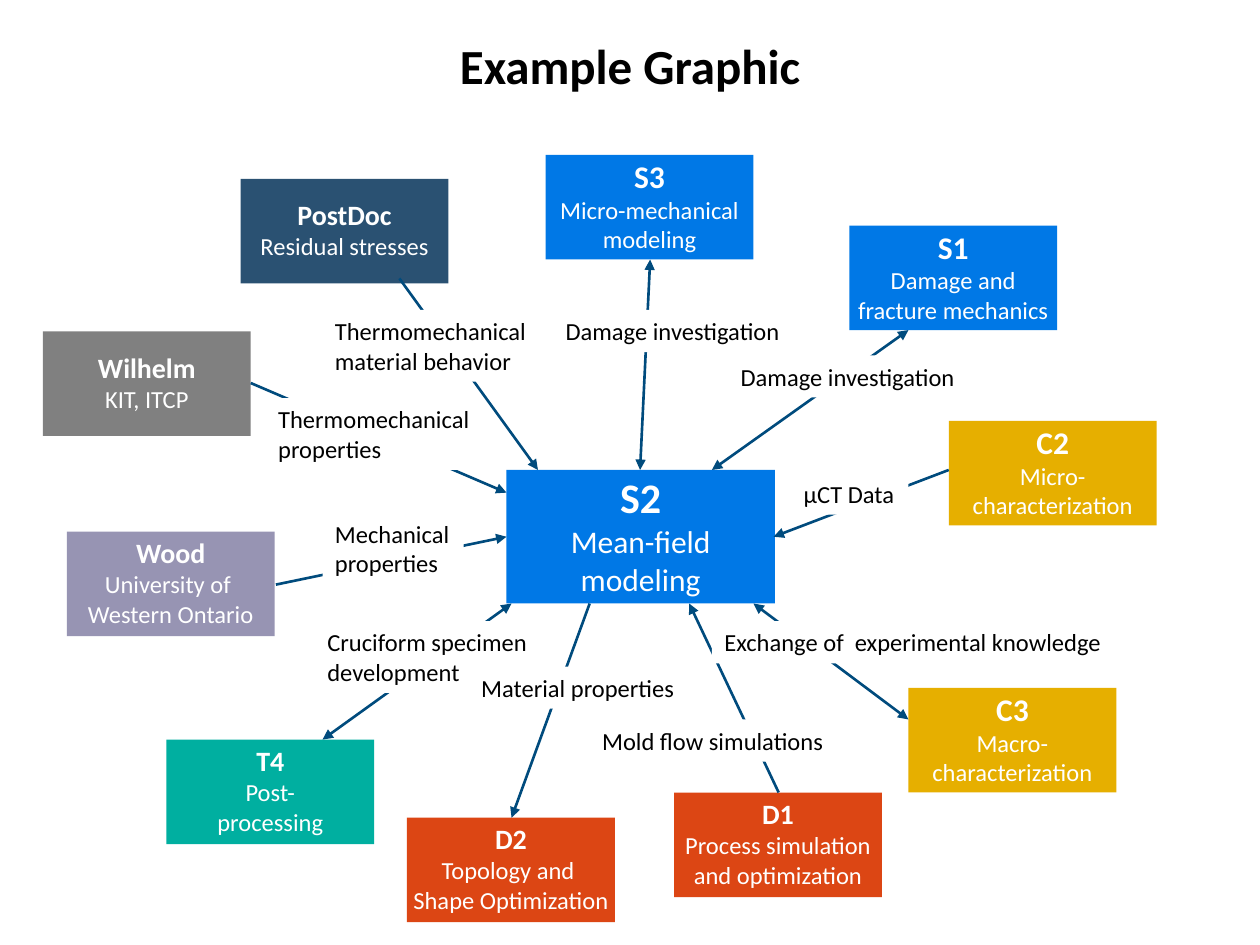
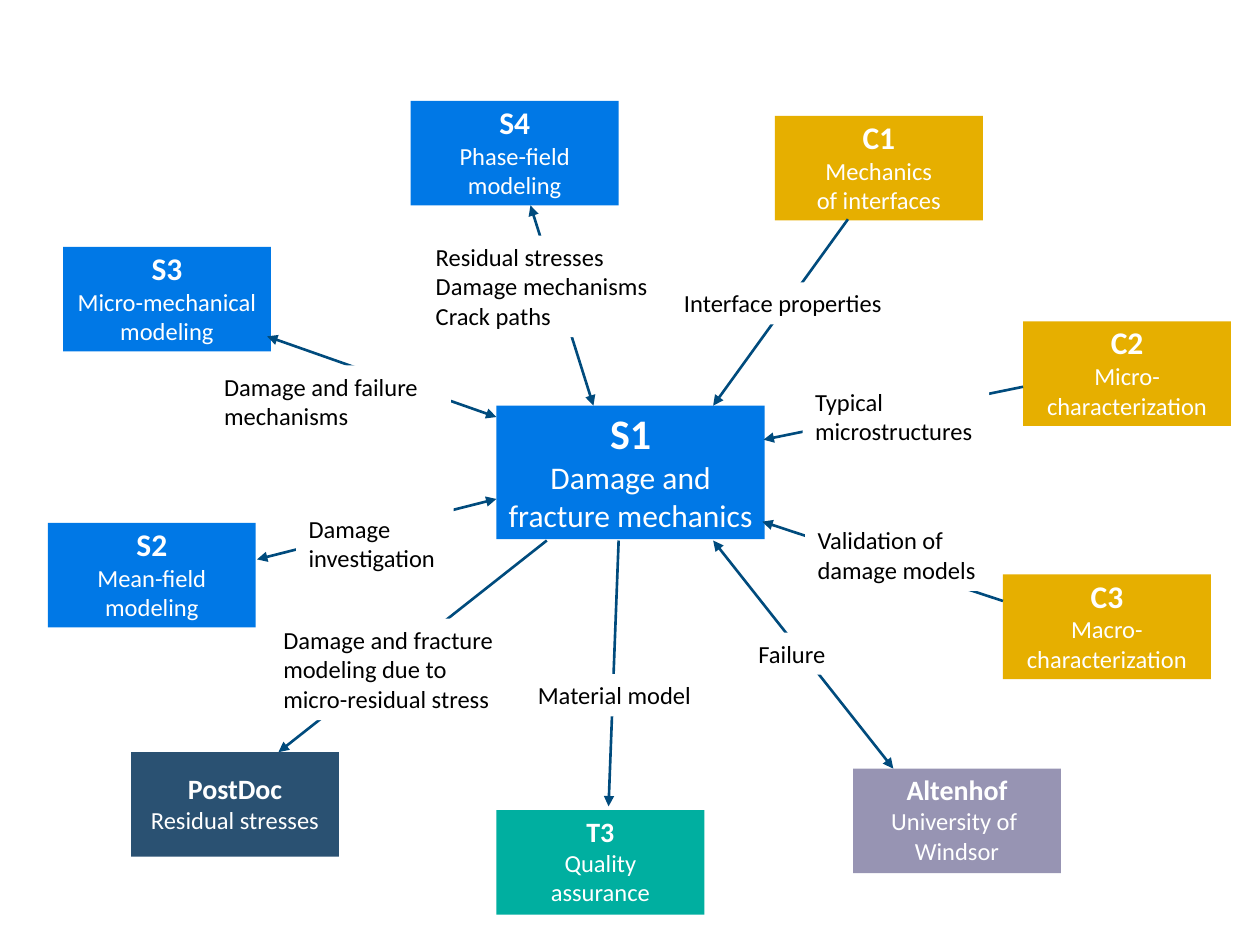
import dataclasses

import lxml.etree
import pptx
import pptx.dml.color
import pptx.enum.shapes
import pptx.enum.text
import pptx.oxml.ns
import pptx.util

Inches = pptx.util.Inches
Pt = pptx.util.Pt
RGBColor = pptx.dml.color.RGBColor
Anchor = pptx.enum.text.MSO_ANCHOR
Align = pptx.enum.text.PP_ALIGN

FONT = "Calibri"
WHITE = RGBColor(0xFF, 0xFF, 0xFF)
BLACK = RGBColor(0x00, 0x00, 0x00)
ARROW = RGBColor(0x00, 0x4B, 0x7D)
BLUE = RGBColor(0x00, 0x78, 0xE6)
YELLOW = RGBColor(0xE6, 0xAF, 0x00)
RED = RGBColor(0xDC, 0x46, 0x14)
TEAL = RGBColor(0x00, 0xAF, 0xA0)
NAVY = RGBColor(0x2A, 0x51, 0x72)
LILAC = RGBColor(0x97, 0x94, 0xB3)
GREY = RGBColor(0x80, 0x80, 0x80)

HUB_SIZE = (2.13, 1.06)
NODE_SIZE = (1.65, 0.83)
LINE_HEIGHT = 0.235
NAME_SIZES = {BLUE: 18, YELLOW: 18}
HEADS = {"in": ["headEnd"], "out": ["tailEnd"], "both": ["headEnd", "tailEnd"]}


@dataclasses.dataclass
class Spoke:
    """A neighbour of the hub with its arrow and the label on the arrow."""

    name: str
    detail: str
    color: RGBColor
    at: tuple
    hub_end: tuple
    node_end: tuple
    direction: str
    label: str
    label_at: tuple
    label_width: float
    label_lines: int = 1


def style(p, size, color, bold=False):
    """Format every run of a paragraph."""
    for r in p.runs:
        r.font.name = FONT
        r.font.size = Pt(size)
        r.font.bold = bold
        r.font.color.rgb = color


def add_box(shapes, left, top, width, height, color):
    """Add a plain filled rectangle."""
    sp = shapes.add_shape(pptx.enum.shapes.MSO_SHAPE.RECTANGLE,
                          Inches(left), Inches(top), Inches(width), Inches(height))
    sp.shadow.inherit = False
    sp.fill.solid()
    sp.fill.fore_color.rgb = color
    sp.line.fill.background()
    return sp


def add_node(shapes, left, top, size, color, name, detail, name_size, detail_size):
    """Add a topic box with a bold name above its description."""
    tf = add_box(shapes, left, top, *size, color).text_frame
    tf.word_wrap = False
    tf.vertical_anchor = Anchor.MIDDLE
    tf.margin_bottom = Inches(0.08)
    tf.text = name
    tf.add_paragraph().text = detail
    for p, points in zip(tf.paragraphs, (name_size, detail_size)):
        p.alignment = Align.CENTER
        style(p, points, WHITE, bold=p.text == name)


def add_arrow(shapes, left, top, spoke):
    """Add the arrow between the hub and a neighbour."""
    (x1, y1), (x2, y2) = spoke.hub_end, spoke.node_end
    cx = shapes.add_connector(pptx.enum.shapes.MSO_CONNECTOR.STRAIGHT,
                              Inches(left + x1), Inches(top + y1),
                              Inches(left + x2), Inches(top + y2))
    cx.line.color.rgb = ARROW
    cx.line.width = Pt(1.5)
    ln = cx.line._get_or_add_ln()
    for tag in HEADS[spoke.direction]:
        lxml.etree.SubElement(ln, pptx.oxml.ns.qn("a:" + tag), type="triangle")
    lxml.etree.SubElement(cx._element.spPr, pptx.oxml.ns.qn("a:effectLst"))


def add_label(shapes, left, top, spoke, wrap):
    """Add the white label that interrupts an arrow."""
    x, y = spoke.label_at
    height = 0.1 + LINE_HEIGHT * spoke.label_lines
    tf = add_box(shapes, left + x, top + y, spoke.label_width, height, WHITE).text_frame
    tf.word_wrap = wrap
    tf.auto_size = pptx.enum.text.MSO_AUTO_SIZE.SHAPE_TO_FIT_TEXT
    tf.vertical_anchor = Anchor.TOP
    tf.text = spoke.label
    for p in tf.paragraphs:
        p.alignment = Align.LEFT
        style(p, 14, BLACK)


def add_diagram(shapes, box, hub, spokes, wrap):
    """Draw a hub and its spokes from the top left corner of the box."""
    left, top = box
    name, detail, (x, y) = hub
    add_node(shapes, left + x, top + y, HUB_SIZE, BLUE, name, detail, 24, 18)
    for spoke in spokes:
        x, y = spoke.at
        add_node(shapes, left + x, top + y, NODE_SIZE, spoke.color, spoke.name,
                 spoke.detail, NAME_SIZES.get(spoke.color, 16), 14)
    for spoke in spokes:
        add_arrow(shapes, left, top, spoke)
    for spoke in spokes:
        add_label(shapes, left, top, spoke, wrap)


def add_title(s, text, left, top, width, height):
    """Fill and place the title placeholder."""
    sp = s.shapes.title
    sp.left, sp.top, sp.width, sp.height = map(Inches, (left, top, width, height))
    tf = sp.text_frame
    tf.text = text
    tf.vertical_anchor = Anchor.MIDDLE
    tf.paragraphs[0].alignment = Align.CENTER
    style(tf.paragraphs[0], 28, BLACK, bold=True)


MICRO = "Micro-\vcharacterization"
MACRO = "Macro-\vcharacterization"
MICRO_MODEL = "Micro-mechanical\vmodeling"
MEAN_FIELD = "Mean-field\vmodeling"
FRACTURE = "Damage and\vfracture mechanics"
RESIDUAL = "Residual stresses"

MEAN_FIELD_SPOKES = [
    Spoke("D1", "Process simulation\vand optimization", RED, (5.35, 6.29),
          (5.47, 4.79), (6.18, 6.29), "in", "Mold flow simulations", (4.68, 5.71), 1.98),
    Spoke("C2", MICRO, YELLOW, (7.53, 3.34),
          (6.14, 4.26), (7.53, 3.73), "in", "μCT Data", (6.28, 3.75), 0.93),
    Spoke("C3", MACRO, YELLOW, (7.21, 5.46), (5.98, 4.79), (7.21, 5.71), "both",
          "Exchange of  experimental knowledge", (5.65, 4.93), 3.22),
    Spoke("S3", MICRO_MODEL, BLUE, (4.33, 1.23),
          (5.08, 3.73), (5.16, 2.06), "both", "Damage investigation", (4.39, 2.46), 1.92),
    Spoke("S1", FRACTURE, BLUE, (6.74, 1.79),
          (5.65, 3.73), (7.21, 2.62), "both", "Damage investigation", (5.78, 2.82), 1.92),
    Spoke("T4", "Post-\vprocessing", TEAL, (1.32, 5.87), (4.06, 4.79), (2.56, 5.87), "both",
          "Cruciform specimen\vdevelopment", (2.5, 4.93), 1.8, 2),
    Spoke("Wood", "University of \vWestern Ontario", LILAC, (0.53, 4.22),
          (4.02, 4.26), (2.19, 4.64), "in", "Mechanical\vproperties", (2.56, 4.07), 1.12, 2),
    Spoke("Wilhelm", "KIT, ITCP", GREY, (0.34, 2.63), (4.02, 3.91), (1.99, 3.04), "in",
          "Thermomechanical\vproperties", (2.11, 3.16), 1.73, 2),
    Spoke("PostDoc", RESIDUAL, NAVY, (1.91, 1.42), (4.27, 3.73), (3.17, 2.21), "in",
          "Thermomechanical\vmaterial behavior", (2.56, 2.46), 1.73, 2),
    Spoke("D2", "Topology and \vShape Optimization", RED, (3.23, 6.49),
          (4.68, 4.79), (4.06, 6.49), "out", "Material properties", (3.72, 5.29), 1.75),
]

FRACTURE_SPOKES = [
    Spoke("C1", "Mechanics\vof interfaces", YELLOW, (6.15, 0.92),
          (5.66, 3.22), (6.73, 1.74), "in", "Interface properties", (5.33, 2.24), 1.9),
    Spoke("C2", MICRO, YELLOW, (8.12, 2.55), (6.06, 3.49), (8.12, 3.07), "in",
          "Typical microstructures", (6.37, 3.02), 1.48, 2),
    Spoke("C3", MACRO, YELLOW, (7.96, 4.56), (6.05, 4.14), (7.96, 4.77), "in",
          "Validation of damage models", (6.39, 4.12), 1.47, 2),
    Spoke("Altenhof", "University of \vWindsor", LILAC, (6.77, 6.1),
          (5.66, 4.29), (7.09, 6.1), "both", "Failure", (5.92, 5.02), 0.82),
    Spoke("T3", "Quality\vassurance", TEAL, (3.94, 6.43),
          (4.91, 4.29), (4.83, 6.4), "out", "Material model", (4.17, 5.35), 1.43),
    Spoke("PostDoc", RESIDUAL, NAVY, (1.04, 5.97), (4.34, 4.29), (2.21, 5.97), "out",
          "Damage and fracture modeling due to micro-residual stress", (2.15, 4.91), 1.97, 3),
    Spoke("S2", MEAN_FIELD, BLUE, (0.38, 4.15), (3.94, 3.96), (2.04, 4.44), "both",
          "Damage investigation", (2.35, 4.03), 1.25, 2),
    Spoke("S3", MICRO_MODEL, BLUE, (0.5, 1.96), (3.94, 3.31), (2.12, 2.67), "both",
          "Damage and failure mechanisms", (1.68, 2.9), 1.9, 2),
    Spoke("S4", "Phase-field\vmodeling", BLUE, (3.26, 0.8), (4.71, 3.22), (4.21, 1.63), "both",
          "Residual stresses\vDamage mechanisms\vCrack paths", (3.36, 1.87), 1.97, 3),
]


def main():
    """Build both slides and save the file."""
    prs = pptx.Presentation()
    prs.slide_width, prs.slide_height = Inches(10), Inches(7.5)
    title_only, blank = prs.slide_layouts[5], prs.slide_layouts[6]

    s = prs.slides.add_slide(title_only)
    add_diagram(s.shapes, (0, 0), ("S2", MEAN_FIELD, (4.02, 3.73)),
                MEAN_FIELD_SPOKES, wrap=False)
    add_title(s, "Example Graphic", 0.75, 0.17, 8.5, 0.69)

    s = prs.slides.add_slide(blank)
    group = s.shapes.add_group_shape()
    add_diagram(group.shapes, (0, 0), ("S1", FRACTURE, (3.94, 3.22)),
                FRACTURE_SPOKES, wrap=True)

    prs.save("out.pptx")


main()
